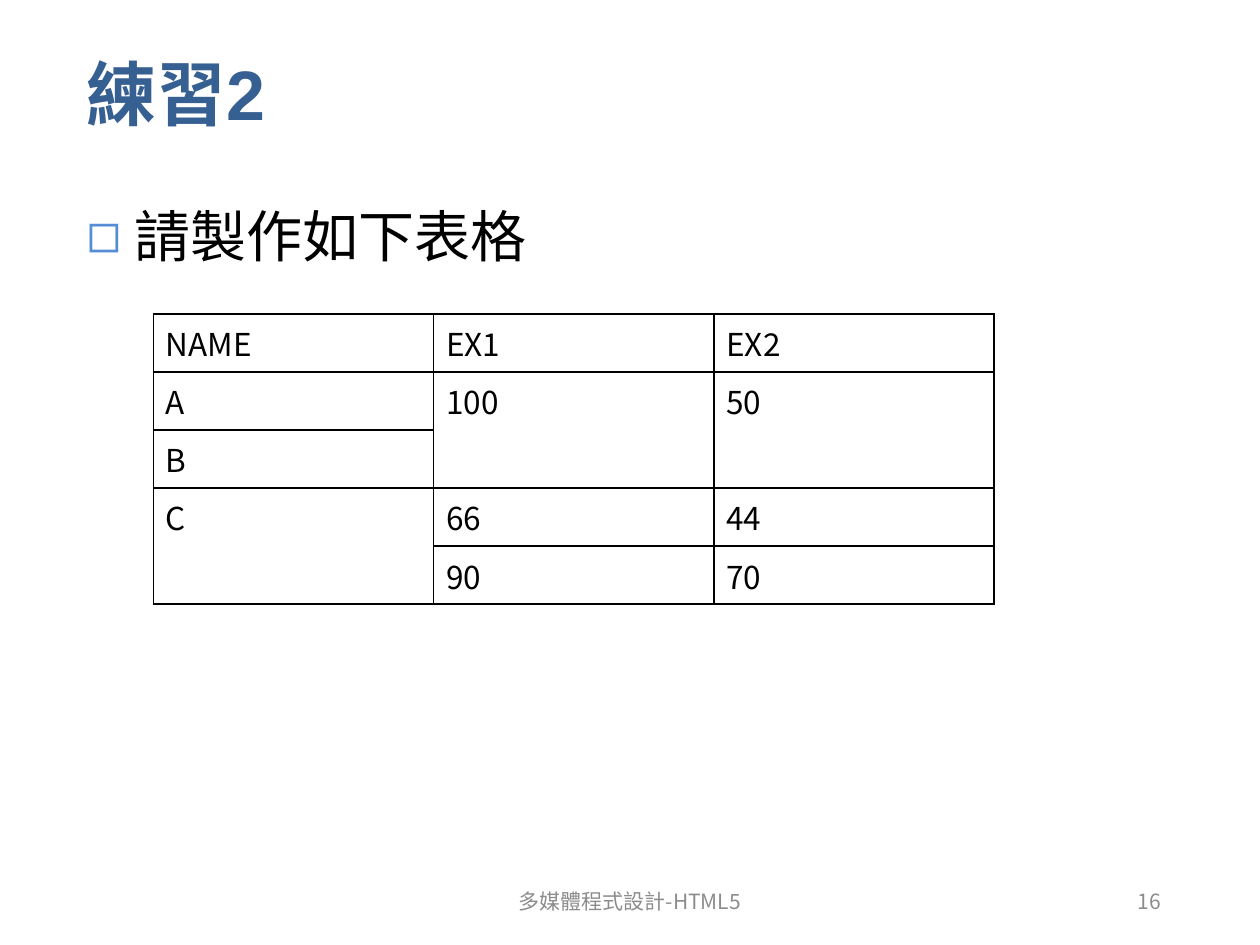
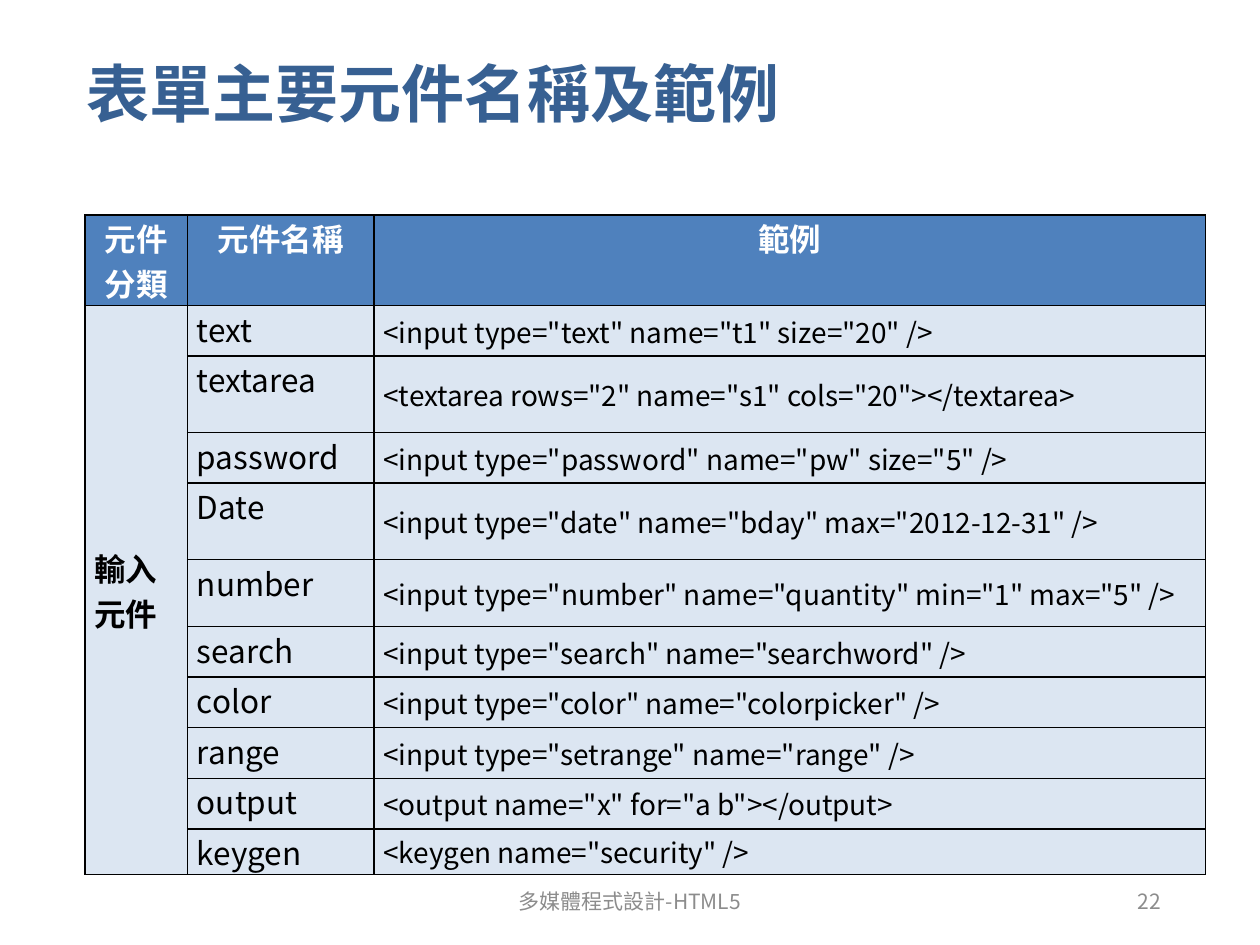
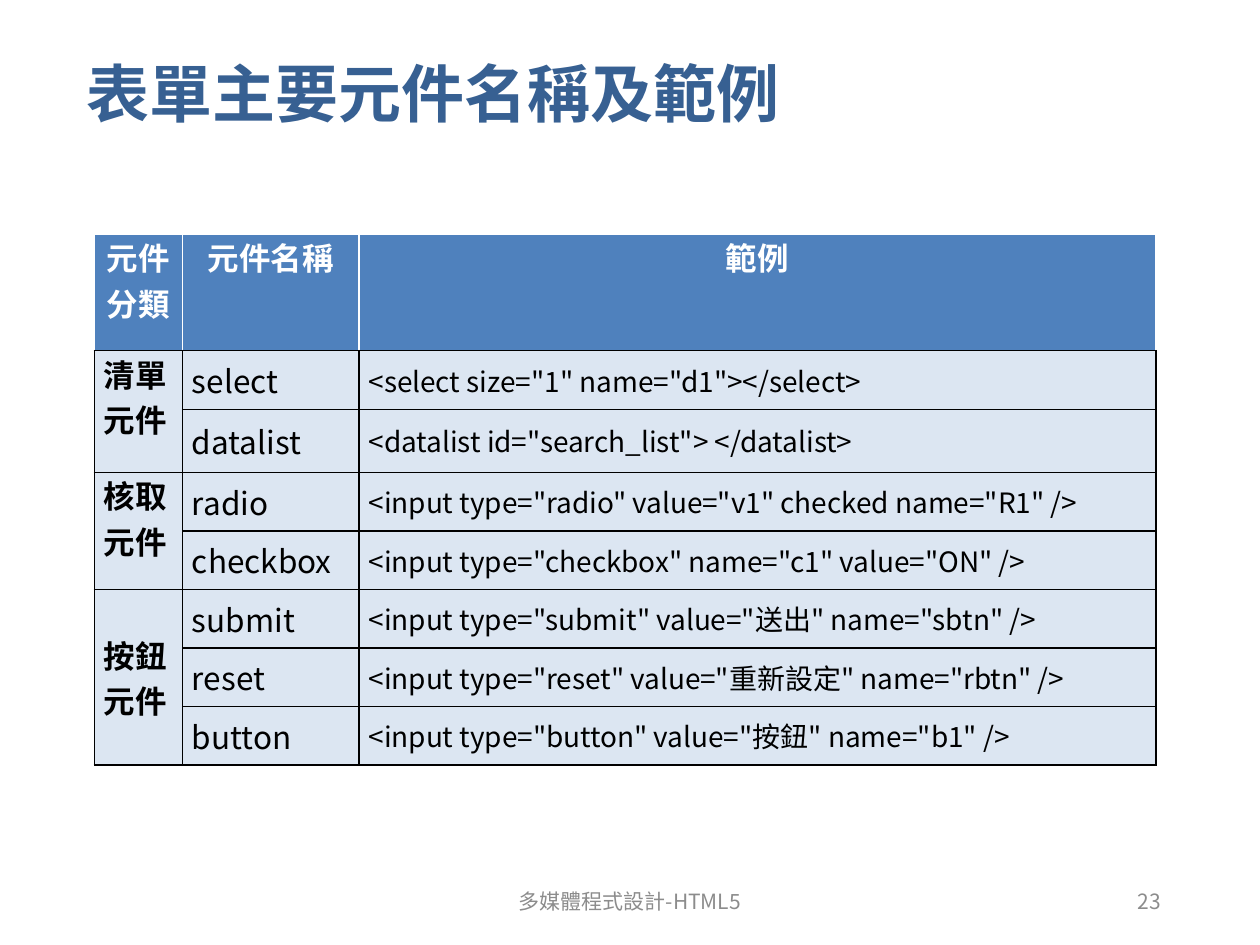
import dataclasses
import itertools

import pptx
import pptx.dml.color
import pptx.enum.text
import pptx.oxml.ns
import pptx.util
import lxml.etree

Cm = pptx.util.Cm
Pt = pptx.util.Pt
ALIGN = pptx.enum.text.PP_ALIGN
ANCHOR = pptx.enum.text.MSO_ANCHOR
qn = pptx.oxml.ns.qn


@dataclasses.dataclass(frozen=True)
class Theme:
    heading_font: str = "Arial"
    text_font: str = "Noto Sans CJK KR"
    title_color: str = "376092"
    bullet_color: str = "558ED5"
    footer_color: str = "8C8C8C"
    header_fill: str = "4F81BD"
    body_fill: str = "DCE6F2"
    black: str = "000000"
    white: str = "FFFFFF"
    title_size: int = 36
    exercise_title_size: int = 40
    list_size: int = 32
    table_size: int = 18
    code_size: int = 16
    footer_size: int = 12
    border_width: int = 1


THEME = Theme()


@dataclasses.dataclass(frozen=True)
class CellStyle:
    size: int = THEME.table_size
    color: str = THEME.black
    bold: bool = False
    fill: str | None = THEME.body_fill
    align: ALIGN = ALIGN.LEFT
    anchor: ANCHOR = ANCHOR.TOP
    compact: bool = True
    borders: tuple = (THEME.black,) * 4


PLAIN = CellStyle(fill=None, compact=False)
HEADER = CellStyle(color=THEME.white, bold=True, fill=THEME.header_fill, align=ALIGN.CENTER)
LIGHT_HEADER = dataclasses.replace(HEADER, borders=(THEME.white,) * 3 + (THEME.black,))
CATEGORY = CellStyle(bold=True)
NAME = CellStyle()
CODE = CellStyle(size=THEME.code_size, anchor=ANCHOR.MIDDLE)


class Deck:
    def __init__(self, theme):
        self.theme = theme
        self.presentation = pptx.Presentation()
        self.presentation.slide_width = Cm(25.4)
        self.presentation.slide_height = Cm(19.05)
        self.slide = None

    def start_slide(self, title, number, layout=5, size=None):
        self.slide = self.presentation.slides.add_slide(self.presentation.slide_layouts[layout])
        frame = self.place(self.slide.shapes.title, 0.13, 3.48)
        frame.vertical_anchor = ANCHOR.MIDDLE
        paragraph = frame.paragraphs[0]
        paragraph.alignment = ALIGN.LEFT
        self.run(paragraph, title, size or self.theme.title_size, self.theme.title_color,
                 True, self.theme.heading_font)
        self.footer("多媒體程式設計-HTML5", 8.4, 8.6, ALIGN.CENTER)
        self.footer(str(number), 17.93, 5.72, ALIGN.RIGHT)

    def place(self, shape, top, height):
        shape.left, shape.top, shape.width, shape.height = Cm(1.49), Cm(top), Cm(22.15), Cm(height)
        shape.text_frame.auto_size = pptx.enum.text.MSO_AUTO_SIZE.NONE
        return shape.text_frame

    def run(self, paragraph, text, size, color, bold=False, font=None):
        run = paragraph.add_run()
        run.text = text
        run.font.size = Pt(size)
        run.font.bold = bold
        run.font.color.rgb = pptx.dml.color.RGBColor.from_string(color)
        run.font.name = font or self.theme.text_font
        east_asian = lxml.etree.SubElement(run.font._element, qn("a:ea"))
        east_asian.set("typeface", self.theme.text_font)

    def footer(self, text, left, width, align):
        box = self.slide.shapes.add_textbox(Cm(left), Cm(17.65), Cm(width), Cm(1.02))
        frame = box.text_frame
        frame.word_wrap = True
        frame.vertical_anchor = ANCHOR.MIDDLE
        paragraph = frame.paragraphs[0]
        paragraph.alignment = align
        self.run(paragraph, text, self.theme.footer_size, self.theme.footer_color)

    def bullets(self, items):
        frame = self.place(self.slide.placeholders[1], 3.93, 13.41)
        for index, text in enumerate(items):
            paragraph = frame.add_paragraph() if index else frame.paragraphs[0]
            properties = paragraph._p.get_or_add_pPr()
            properties.set("marL", str(Cm(0.96)))
            properties.set("indent", str(-Cm(0.96)))
            color = lxml.etree.SubElement(properties, qn("a:buClr"))
            lxml.etree.SubElement(color, qn("a:srgbClr")).set("val", self.theme.bullet_color)
            lxml.etree.SubElement(properties, qn("a:buChar")).set("char", "◻")
            self.run(paragraph, text, self.theme.list_size, self.theme.black,
                     font=self.theme.heading_font)

    def table(self, left, top, widths, heights, rows):
        frame = self.slide.shapes.add_table(
            len(rows), len(widths), Cm(left), Cm(top), Cm(sum(widths)), Cm(sum(heights)))
        table = frame.table
        table.first_row = table.horz_banding = False
        for column, width in zip(table.columns, widths):
            column.width = Cm(width)
        for row, height in zip(table.rows, heights):
            row.height = Cm(height)
        for row_index, row in enumerate(rows):
            for column_index, (text, style) in enumerate(row):
                self.cell(table.cell(row_index, column_index), text, style)
        for column_index in range(len(widths)):
            self.merge_down(table, column_index, [row[column_index][0] for row in rows])

    def merge_down(self, table, column_index, texts):
        starts = [index for index, text in enumerate(texts) if text is not None]
        for start, following in itertools.pairwise(starts + [len(texts)]):
            if following - start > 1:
                table.cell(start, column_index).merge(table.cell(following - 1, column_index))

    def cell(self, cell, text, style):
        cell.vertical_anchor = style.anchor
        if style.compact:
            cell.margin_left = cell.margin_right = Cm(0.19)
            cell.margin_top = cell.margin_bottom = 0
        properties = cell._tc.get_or_add_tcPr()
        for side, color in zip(("L", "R", "T", "B"), style.borders):
            line = lxml.etree.SubElement(properties, qn(f"a:ln{side}"))
            line.set("w", str(Pt(self.theme.border_width)))
            fill = lxml.etree.SubElement(line, qn("a:solidFill"))
            lxml.etree.SubElement(fill, qn("a:srgbClr")).set("val", color)
        if style.fill:
            cell.fill.solid()
            cell.fill.fore_color.rgb = pptx.dml.color.RGBColor.from_string(style.fill)
        else:
            cell.fill.background()
        if text is not None:
            paragraph = cell.text_frame.paragraphs[0]
            paragraph.alignment = style.align
            self.run(paragraph, text, style.size, style.color, style.bold)


def element_rows(header, name_anchor, groups):
    rows = [[(text, header) for text in ("元件分類", "元件名稱", "範例")]]
    name_style = dataclasses.replace(NAME, anchor=name_anchor)
    for category, anchor, elements in groups:
        category_style = dataclasses.replace(CATEGORY, anchor=anchor)
        for index, (name, example) in enumerate(elements):
            rows.append([(None if index else category, category_style),
                         (name, name_style), (example, CODE)])
    return rows


SCORES = [
    ("NAME", "EX1", "EX2"),
    ("A", "100", "50"),
    ("B", None, None),
    ("C", "66", "44"),
    (None, "90", "70"),
]

INPUT_GROUPS = [
    ("輸入元件", ANCHOR.MIDDLE, [
        ("text", '<input type="text" name="t1" size="20" />'),
        ("textarea", '<textarea rows="2" name="s1" cols="20"></textarea>'),
        ("password", '<input type="password" name="pw" size="5" />'),
        ("Date", '<input type="date" name="bday" max="2012-12-31" />'),
        ("number", '<input type="number" name="quantity" min="1" max="5" />'),
        ("search", '<input type="search" name="searchword" />'),
        ("color", '<input type="color" name="colorpicker" />'),
        ("range", '<input type="setrange" name="range" />'),
        ("output", '<output name="x" for="a b"></output>'),
        ("keygen", '<keygen name="security" />'),
    ]),
]

CHOICE_GROUPS = [
    ("清單元件", ANCHOR.TOP, [
        ("select", '<select size="1" name="d1"></select>'),
        ("datalist", '<datalist id="search_list"> </datalist>'),
    ]),
    ("核取元件", ANCHOR.TOP, [
        ("radio", '<input type="radio" value="v1" checked name="R1" />'),
        ("checkbox", '<input type="checkbox" name="c1" value="ON" />'),
    ]),
    ("按鈕元件", ANCHOR.MIDDLE, [
        ("submit", '<input type="submit" value="送出" name="sbtn" />'),
        ("reset", '<input type="reset" value="重新設定" name="rbtn" />'),
        ("button", '<input type="button" value="按鈕" name="b1" />'),
    ]),
]


def main():
    deck = Deck(THEME)

    deck.start_slide("練習2", 16, layout=1, size=THEME.exercise_title_size)
    deck.bullets(["請製作如下表格"])
    deck.table(3.09, 6.33, [5.65] * 3, [1.17] * 5,
               [[(text, PLAIN) for text in row] for row in SCORES])

    deck.start_slide("表單主要元件名稱及範例", 22)
    deck.table(1.71, 4.33, [2.07, 3.76, 16.76],
               [1.83, 1.02, 1.54, 1.02, 1.54, 1.35] + [1.02] * 4 + [0.92],
               element_rows(HEADER, ANCHOR.TOP, INPUT_GROUPS))

    deck.start_slide("表單主要元件名稱及範例", 23)
    deck.table(1.9, 4.72, [1.78, 3.56, 16.06], [2.35, 1.18, 1.27] + [1.18] * 5,
               element_rows(LIGHT_HEADER, ANCHOR.MIDDLE, CHOICE_GROUPS))

    deck.presentation.save("out.pptx")


if __name__ == "__main__":
    main()
